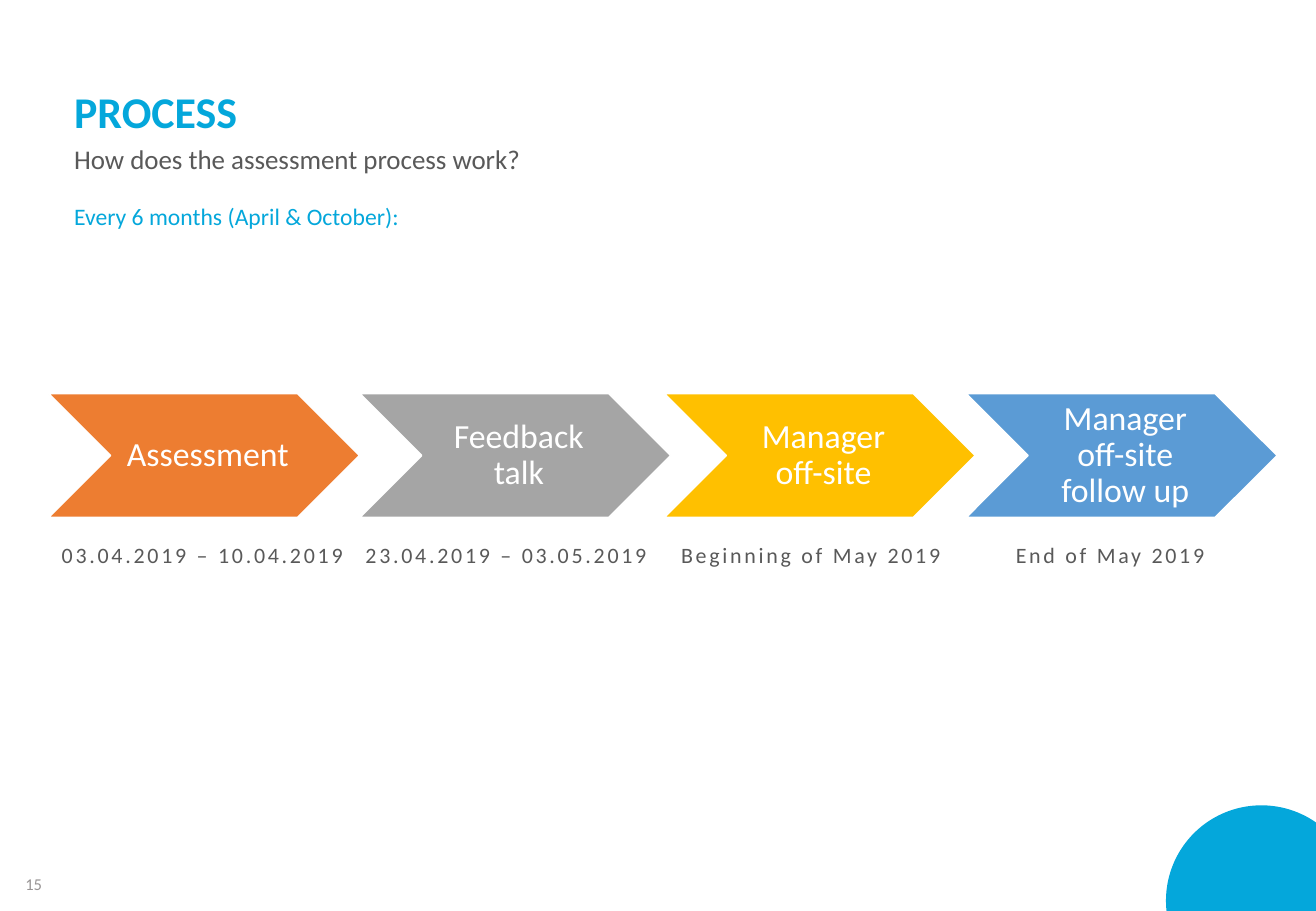
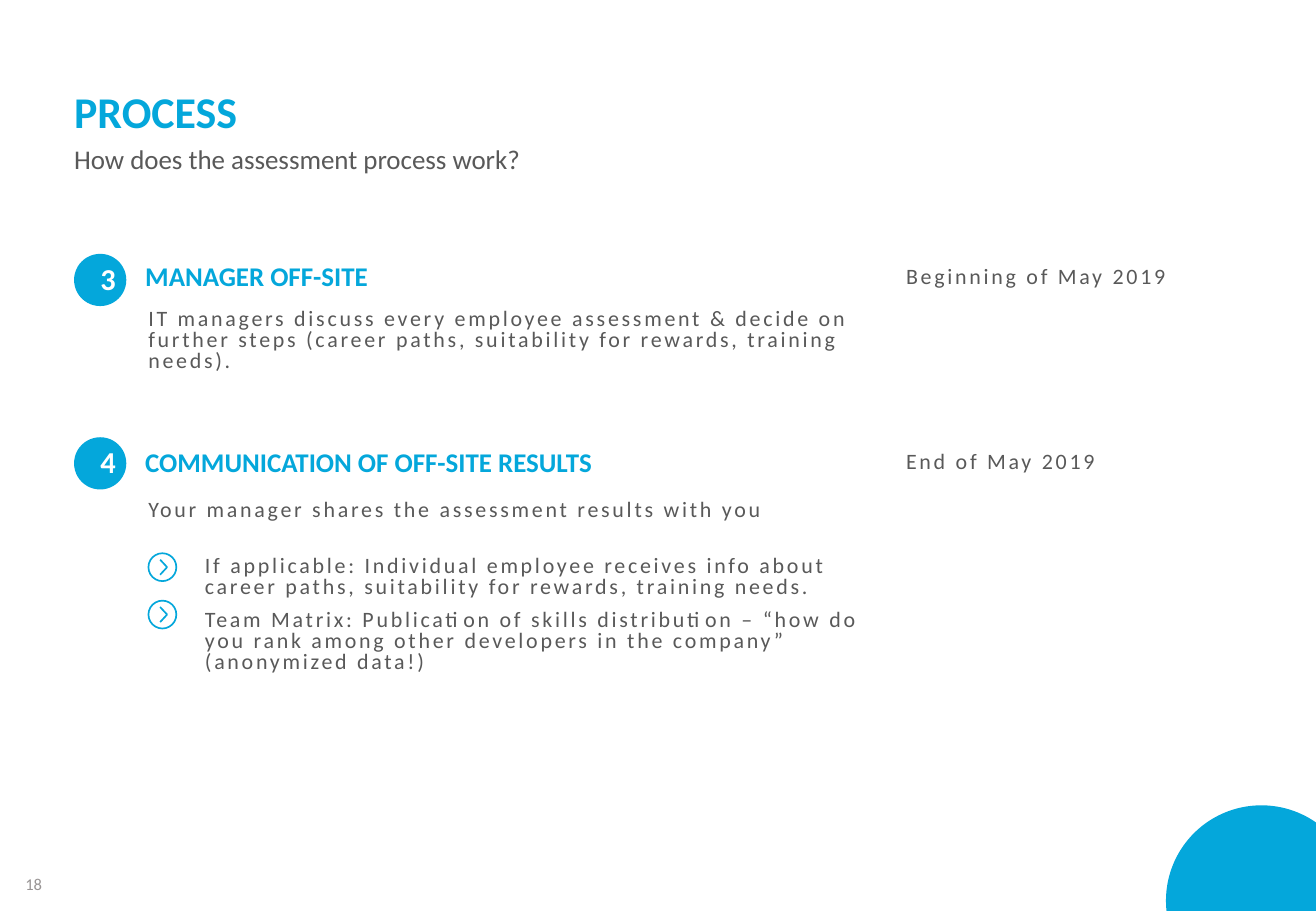
from lxml.etree import SubElement
from pptx import Presentation
from pptx.dml.color import RGBColor
from pptx.enum.shapes import MSO_SHAPE as Preset
from pptx.enum.text import MSO_ANCHOR as Anchor, MSO_AUTO_SIZE as AutoSize, PP_ALIGN as Align
from pptx.oxml.ns import qn
from pptx.util import Inches, Pt

WIDTH, HEIGHT = Inches(10.83), Inches(7.5)
COLUMN, ROW = WIDTH / 100, HEIGHT / 100
MARGIN = 5.63
FONT = "Calibri"
COLORS = {
    "accent": "04A7DB",
    "text": "595959",
    "page": "989494",
    "white": "FFFFFF",
    "orange": "ED7D31",
    "gray": "A5A5A5",
    "yellow": "FFC000",
    "blue": "5B9BD5",
}
BODY_STYLE = {"size": 13, "spacing": 0.8, "tracking": 165}
STEPS = [
    ("Assessment", "orange", 3.69, "03.04.2019 – 10.04.2019", 4.25),
    ("Feedback talk", "gray", 27.33, "23.04.2019 – 03.05.2019", 27.33),
    ("Manager off-site", "yellow", 50.48, "Beginning of May 2019", 50.48),
    ("Manager off-site follow up", "blue", 73.41, "End of May 2019", 73.22),
]
STAGES = [
    ("3", 27.87, "MANAGER OFF-SITE", 28.27, "Beginning of May 2019", 29.33,
     "IT managers discuss every employee assessment & decide on further steps "
     "(career paths, suitability for rewards, training needs).", 34),
    ("4", 48, "COMMUNICATION OF OFF-SITE RESULTS", 48.67, "End of May 2019", 49.73,
     "Your manager shares the assessment results with you", 54.93),
]
RESULTS = [
    "If applicable: Individual employee receives info about career paths, "
    "suitability for rewards, training needs.",
    "Team Matrix: Publication of skills distribution – “how do you rank among "
    "other developers in the company” (anonymized data!)",
]


def color(name):
    return RGBColor.from_string(COLORS[name])


def area(column, row, columns, rows):
    return (round(column * COLUMN), round(row * ROW),
            round(columns * COLUMN), round(rows * ROW))


def write_text(shape, *lines, size, fill="text", bold=False, align=Align.LEFT,
               anchor=Anchor.TOP, spacing=1.0, gap=0, tracking=0,
               insets=(0, 0, 0, 0), wrap=True):
    frame = shape.text_frame
    frame.word_wrap = wrap
    frame.auto_size = AutoSize.NONE
    frame.vertical_anchor = anchor
    frame.margin_left, frame.margin_top, frame.margin_right, frame.margin_bottom = (
        Inches(inset) for inset in insets)
    for index, line in enumerate(lines):
        paragraph = frame.paragraphs[0] if index == 0 else frame.add_paragraph()
        paragraph.alignment = align
        paragraph.line_spacing = spacing
        paragraph.space_before = Pt(gap if index else 0)
        run = paragraph.add_run()
        run.text = line
        run.font.name = FONT
        run.font.size = Pt(size)
        run.font.bold = bold
        run.font.color.rgb = color(fill)
        if tracking:
            run._r.get_or_add_rPr().set("spc", str(tracking))


def add_text(slide, place, text, **style):
    write_text(slide.shapes.add_textbox(*area(*place)), text, **style)


def fill_placeholder(placeholder, place, *lines, **style):
    placeholder.left, placeholder.top, placeholder.width, placeholder.height = area(*place)
    write_text(placeholder, *lines, **style)
    for paragraph in placeholder.text_frame.paragraphs:
        properties = paragraph._p.get_or_add_pPr()
        properties.set("marL", "0")
        properties.set("indent", "0")
        SubElement(properties, qn("a:buNone"))


def paint(shape, fill=None, line=None):
    shape.shadow.inherit = False
    if fill:
        shape.fill.solid()
        shape.fill.fore_color.rgb = color(fill)
    else:
        shape.fill.background()
    if line:
        shape.line.color.rgb = color(line)
        shape.line.width = Pt(1)
    else:
        shape.line.fill.background()


def add_shape(slide, preset, place, **look):
    shape = slide.shapes.add_shape(preset, *area(*place))
    paint(shape, **look)
    return shape


def add_circle(slide, column, row, diameter, **look):
    place = (column, row, diameter, diameter * COLUMN / ROW)
    return add_shape(slide, Preset.OVAL, place, **look)


def add_arrow_icon(slide, column, row):
    ring = add_circle(slide, column, row, 2.12, line="accent")

    def point(across, down):
        return (round(ring.left + across * ring.width),
                round(ring.top + down * ring.height))

    builder = slide.shapes.build_freeform(*point(0.42, 0.23))
    builder.add_line_segments([point(0.67, 0.5), point(0.42, 0.77)], close=False)
    paint(builder.convert_to_shape(), line="accent")


def add_process_slide(presentation, page):
    slide = presentation.slides.add_slide(presentation.slide_layouts[3])
    title, subtitle, body = slide.placeholders
    fill_placeholder(title, (MARGIN, 10, 88.73, 7.73), "PROCESS",
                     size=26, fill="accent", bold=True, spacing=0.9)
    fill_placeholder(subtitle, (MARGIN, 16, 88.73, 4.93),
                     "How does the assessment process work?", size=16, spacing=0.9)
    add_circle(slide, 88.6, 88.4, 14.5, fill="accent")
    add_text(slide, (1.02, 95.3, 3.14, 3.6), page, size=9.8, fill="page",
             insets=(0.1, 0.05, 0.1, 0.05), wrap=False)
    return slide, body


def add_step(slide, label, fill, column, date, date_column):
    chevron = add_shape(slide, Preset.CHEVRON, (column, 43.2, 23.64, 13.6),
                        fill=fill, line="white")
    write_text(chevron, label, size=20, fill="white", align=Align.CENTER,
               anchor=Anchor.MIDDLE, spacing=0.9, insets=(0.09, 0.03, 0.03, 0.03))
    add_text(slide, (date_column, 60, 22.25, 2.4), date,
             align=Align.CENTER, **BODY_STYLE)


def add_stage(slide, number, row, heading, heading_row, date, date_row,
              description, description_row):
    badge = add_circle(slide, MARGIN, row, 3.97, fill="accent")
    write_text(badge, number, size=18, fill="white", bold=True, align=Align.CENTER,
               anchor=Anchor.MIDDLE, insets=(0.13, 0, 0, 0.03))
    add_text(slide, (10.13, heading_row, 57.89, 5.73), heading, size=16, fill="accent",
             bold=True, spacing=0.9, insets=(0.1, 0.05, 0.1, 0.05))
    add_text(slide, (68.85, date_row, 22.25, 2.4), date, **BODY_STYLE)
    add_text(slide, (11.27, description_row, 53.28, 7.07), description, **BODY_STYLE)


def main():
    presentation = Presentation()
    presentation.slide_width, presentation.slide_height = WIDTH, HEIGHT

    slide, intro = add_process_slide(presentation, "15")
    fill_placeholder(intro, (MARGIN, 22.8, 57.71, 7.2), "Every 6 months (April & October):",
                     size=14, fill="accent", spacing=0.8)
    for step in STEPS:
        add_step(slide, *step)

    slide, results = add_process_slide(presentation, "18")
    for stage in STAGES:
        add_stage(slide, *stage)
    fill_placeholder(results, (15.57, 61.1, 51.5, 17.6), *RESULTS, gap=7, **BODY_STYLE)
    for row in (60.73, 65.93):
        add_arrow_icon(slide, 11.28, row)

    presentation.save("out.pptx")


if __name__ == "__main__":
    main()
